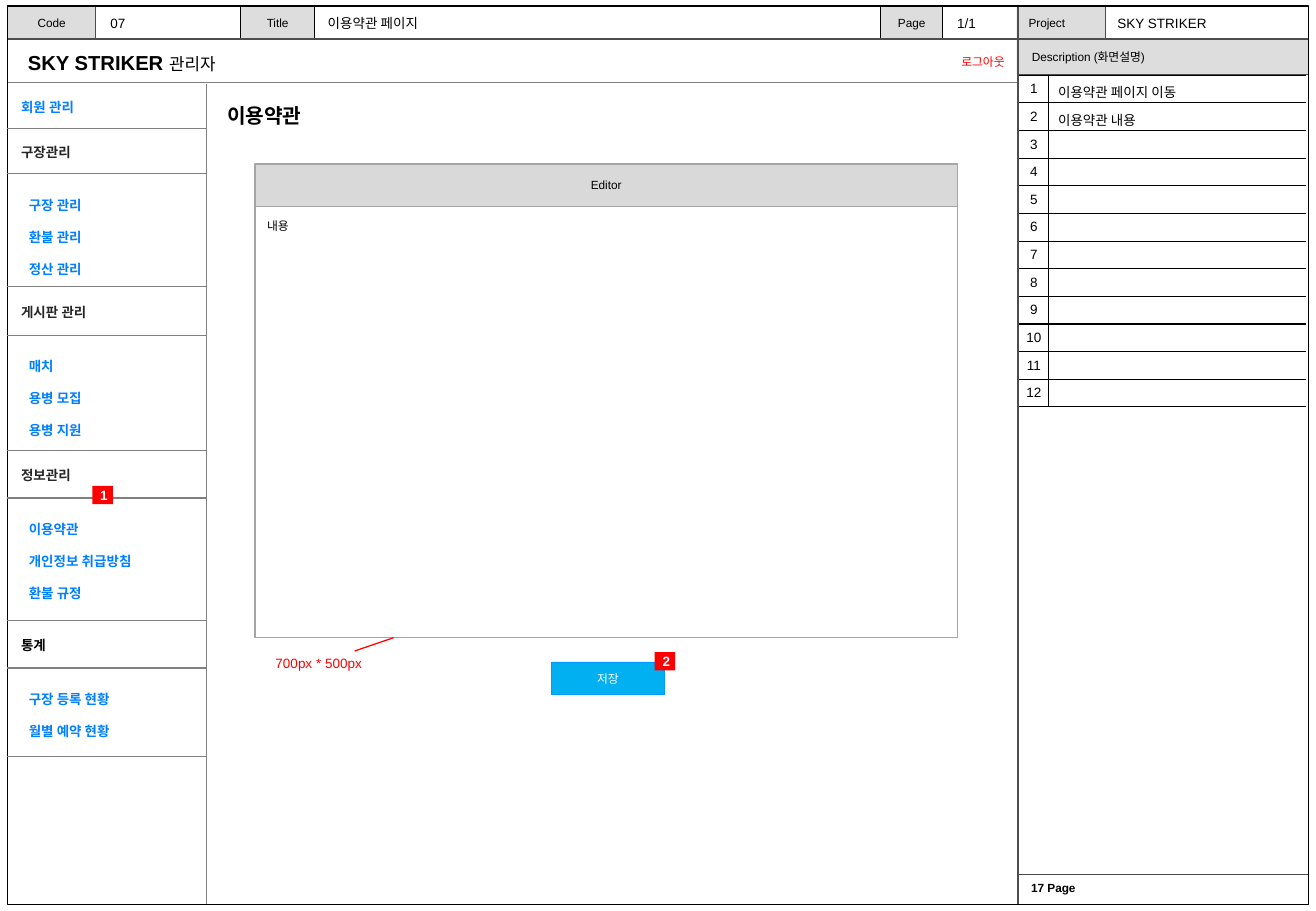
from lxml import etree
from pptx import Presentation
from pptx.dml.color import RGBColor
from pptx.enum.shapes import MSO_CONNECTOR, MSO_SHAPE
from pptx.enum.text import MSO_ANCHOR, MSO_AUTO_SIZE, PP_ALIGN
from pptx.oxml.ns import qn
from pptx.util import Pt

LEFT, CENTER, RIGHT = PP_ALIGN.LEFT, PP_ALIGN.CENTER, PP_ALIGN.RIGHT
TOP, MIDDLE = MSO_ANCHOR.TOP, MSO_ANCHOR.MIDDLE
NO_AUTOFIT = MSO_AUTO_SIZE.NONE
RECTANGLE, STRAIGHT = MSO_SHAPE.RECTANGLE, MSO_CONNECTOR.STRAIGHT

LATIN_FONT, KOREAN_FONT = "Arial", "Noto Sans CJK KR"
BLACK, WHITE, RED = "000000", "FFFFFF", "FF0000"
DARK, LINK, LABEL_FILL = "262626", "0080FF", "DDDDDD"
FRAME_LINE, PAGE_LINE, MENU_LINE = "4D4D4D", "7F7F7F", "808080"
PROJECT_NAME = "SKY STRIKER"

FRAME = (4.3, 3.6, 771.1, 532.8)
PANEL_LEFT, FRAME_RIGHT, FRAME_BOTTOM = 603.4, 775.4, 536.4
MENU_RIGHT = 122

# Top of heading row, rule below it, heading, colour, menu items
MENU_SECTIONS = [
    (49, 76.3, "회원 관리", LINK, []),
    (76.3, 103, "구장관리", DARK, ["구장 관리", "환불 관리", "정산 관리"]),
    (169.9, 198.7, "게시판 관리", DARK, ["매치", "용병 모집", "용병 지원"]),
    (267.1, 295.2, "정보관리", DARK, ["이용약관", "개인정보 취급방침", "환불 규정"]),
    (367.9, 396, "통계", BLACK, ["구장 등록 현황", "월별 예약 현황"]),
]
MENU_BOTTOM = 448.6
DESCRIPTIONS = ["이용약관 페이지 이동", "이용약관 내용"]
DESCRIPTION_ROWS, ROW_HEIGHT = 12, 16.4


def color(hex_string):
    return RGBColor.from_string(hex_string)


def add_run(paragraph, text, size=8, ink=BLACK, bold=False, font=LATIN_FONT):
    run = paragraph.add_run()
    run.text = text
    run.font.name = font
    run.font.size = Pt(size)
    run.font.bold = bold
    run.font.color.rgb = color(ink)
    properties = run.font._element
    east_asian = etree.SubElement(properties, qn("a:ea"))
    east_asian.set("typeface", KOREAN_FONT)


def format_frame(shape, anchor=MIDDLE, insets=(7.2, 0, 7.2, 0)):
    frame = shape.text_frame
    frame.word_wrap = True
    frame.auto_size = NO_AUTOFIT
    frame.vertical_anchor = anchor
    (frame.margin_left, frame.margin_top,
     frame.margin_right, frame.margin_bottom) = map(Pt, insets)
    return frame


def add_text(slide, box, text, align=LEFT, **style):
    shape = slide.shapes.add_textbox(*map(Pt, box))
    paragraph = format_frame(shape).paragraphs[0]
    paragraph.alignment = align
    if text:
        add_run(paragraph, text, **style)
    return paragraph


def add_box(slide, box, fill=None, line=None, line_width=0.75, text="",
            align=CENTER, anchor=MIDDLE, insets=(7.2, 0, 7.2, 0), **style):
    shape = slide.shapes.add_shape(RECTANGLE, *map(Pt, box))
    shape.shadow.inherit = False
    if fill:
        shape.fill.solid()
        shape.fill.fore_color.rgb = color(fill)
    else:
        shape.fill.background()
    if line:
        shape.line.color.rgb = color(line)
        shape.line.width = Pt(line_width)
    else:
        shape.line.fill.background()
    if text:
        paragraph = format_frame(shape, anchor, insets).paragraphs[0]
        paragraph.alignment = align
        add_run(paragraph, text, **style)


def add_line(slide, start, end, ink):
    line = slide.shapes.add_connector(STRAIGHT, *map(Pt, start + end))
    line.line.color.rgb = color(ink)
    line.line.width = Pt(0.75)
    etree.SubElement(line._element.spPr, qn("a:effectLst"))


def add_badge(slide, left, top, number):
    add_box(slide, (left, top, 12.2, 10.8), RED, text=number,
            insets=(1.5, 0, 0, 0), ink=WHITE, bold=True)


def set_borders(cell, visible):
    properties = cell._tc.get_or_add_tcPr()
    for index, side in enumerate(("lnL", "lnR", "lnT", "lnB")):
        border = etree.Element(qn("a:" + side), w="9525")
        if side in visible:
            fill = etree.SubElement(border, qn("a:solidFill"))
            etree.SubElement(fill, qn("a:srgbClr"), val=BLACK)
        else:
            etree.SubElement(border, qn("a:noFill"))
        properties.insert(index, border)


def fill_cell(cell, text, align, insets, borders):
    cell.fill.background()
    cell.vertical_anchor = MIDDLE
    (cell.margin_left, cell.margin_top,
     cell.margin_right, cell.margin_bottom) = map(Pt, insets)
    paragraph = cell.text_frame.paragraphs[0]
    paragraph.alignment = align
    if text:
        add_run(paragraph, text)
    else:
        etree.SubElement(paragraph._p, qn("a:endParaRPr"), sz="800")
    set_borders(cell, borders)


def add_description_table(slide):
    widths = (17.3, 152.6)
    shape = slide.shapes.add_table(
        DESCRIPTION_ROWS, 2, Pt(604.1), Pt(44.6),
        Pt(sum(widths)), Pt(DESCRIPTION_ROWS * ROW_HEIGHT))
    table = shape.table
    table.first_row = table.horz_banding = False
    for column, width in zip(table.columns, widths):
        column.width = Pt(width)
    for index, row in enumerate(table.rows):
        row.height = Pt(ROW_HEIGHT)
        text = DESCRIPTIONS[index] if index < len(DESCRIPTIONS) else ""
        fill_cell(row.cells[0], str(index + 1), CENTER, (2, 0, 2, 0),
                  ("lnR", "lnT", "lnB"))
        fill_cell(row.cells[1], text, LEFT, (5.8, 3, 5.8, 0),
                  ("lnL", "lnT", "lnB"))


def add_header(slide):
    # Label cells: left, width, line, text, alignment
    for left, width, line, text, align in (
            (4.3, 52.6, None, "Code", CENTER),
            (142.6, 43.9, BLACK, "Title", CENTER),
            (522, 36.7, BLACK, "Page", CENTER),
            (602.6, 52.6, None, "Project", LEFT)):
        add_box(slide, (left, 3.6, width, 19.8), LABEL_FILL, line,
                text=text, align=align, size=7)
    # Values beside the labels
    for left, width, text in ((58.3, 80, "07"), (187.2, 330, "이용약관 페이지"),
                              (560.2, 42, "1/1"), (655.2, 116, PROJECT_NAME)):
        add_text(slide, (left, 5, width, 17.3), text)


def add_description_panel(slide):
    add_box(slide, (602.6, 23.8, 172.8, 20.2), LABEL_FILL, align=LEFT,
            text="Description (화면설명)", insets=(9, 0, 0, 0), size=7)
    add_description_table(slide)
    add_text(slide, (604.1, 519, 167, 14.4), "17 Page", size=7, bold=True)


def add_frame_lines(slide):
    for start, end in (((PANEL_LEFT, 3.6), (PANEL_LEFT, FRAME_BOTTOM)),
                       ((5, 23.2), (FRAME_RIGHT, 23.2)),
                       ((655.2, 4.3), (655.2, 23.2)),
                       ((56.4, 4.3), (56.4, 23.2)),
                       ((604, 518.4), (FRAME_RIGHT, 518.4)),
                       ((604, 44), (FRAME_RIGHT, 44))):
        add_line(slide, start, end, FRAME_LINE)
    add_line(slide, (5, 49), (602.6, 49), PAGE_LINE)
    add_line(slide, (122.4, 49.7), (122.4, FRAME_BOTTOM), PAGE_LINE)
    add_box(slide, FRAME, line=BLACK)


def add_menu(slide):
    rules = {MENU_BOTTOM}
    for top, rule, heading, ink, items in MENU_SECTIONS:
        rules.update((top, rule))
        add_text(slide, (5.4, top + 0.6, 110, rule - top), heading,
                 ink=ink, bold=True)
        if not items:
            continue
        shape = slide.shapes.add_textbox(
            Pt(10), Pt(rule + 0.6), Pt(105), Pt(19 * len(items) + 7.2))
        frame = format_frame(shape, TOP, (7.2, 3.6, 7.2, 3.6))
        for index, item in enumerate(items):
            paragraph = frame.add_paragraph() if index else frame.paragraphs[0]
            paragraph.line_spacing = Pt(19)
            add_run(paragraph, item, ink=LINK, bold=True)
    for y in sorted(rules)[1:]:
        add_line(slide, (4.3, y), (MENU_RIGHT, y), MENU_LINE)


def add_title(slide):
    title = slide.shapes.title
    title.left, title.top, title.width, title.height = map(
        Pt, (127.4, 57.5, 125.3, 22))
    paragraph = format_frame(title).paragraphs[0]
    paragraph.alignment = LEFT
    add_run(paragraph, "이용약관", size=12, bold=True, font=KOREAN_FONT)


def add_editor(slide):
    add_box(slide, (151.2, 122.4, 416.2, 255.6), WHITE, "A5A5A5", text="내용",
            align=LEFT, anchor=TOP, insets=(7.2, 7.5, 7.2, 3.6), size=7)
    add_box(slide, (151.2, 97.2, 416.2, 25.2), "D9D9D9", "A5A5A5",
            text="Editor", size=7)
    add_line(slide, (210.2, 385.9), (233.3, 378), RED)
    add_text(slide, (156.2, 384.3, 75, 17.3), "700px * 500px", ink=RED)
    add_box(slide, (326.9, 392.4, 67, 19.4), "00B0F0", "0099FF", 0.25,
            text="저장", size=7, ink=WHITE, font=KOREAN_FONT)


def main():
    presentation = Presentation()
    presentation.slide_width, presentation.slide_height = Pt(780), Pt(540)
    slide = presentation.slides.add_slide(presentation.slide_layouts[5])

    # Storyboard frame
    add_header(slide)
    add_description_panel(slide)
    add_frame_lines(slide)

    # Admin page
    brand = add_text(slide, (9.4, 26, 464, 21.6), "")
    add_run(brand, PROJECT_NAME + " ", size=12, bold=True)
    add_run(brand, "관리자", size=10)
    add_text(slide, (518.4, 28.5, 84.2, 16), "로그아웃", RIGHT, size=7, ink=RED)
    add_menu(slide)
    add_title(slide)
    add_editor(slide)

    # Numbered markers
    add_badge(slide, 54.7, 288, "1")
    add_badge(slide, 388.1, 386.6, "2")
    presentation.save("out.pptx")


main()
